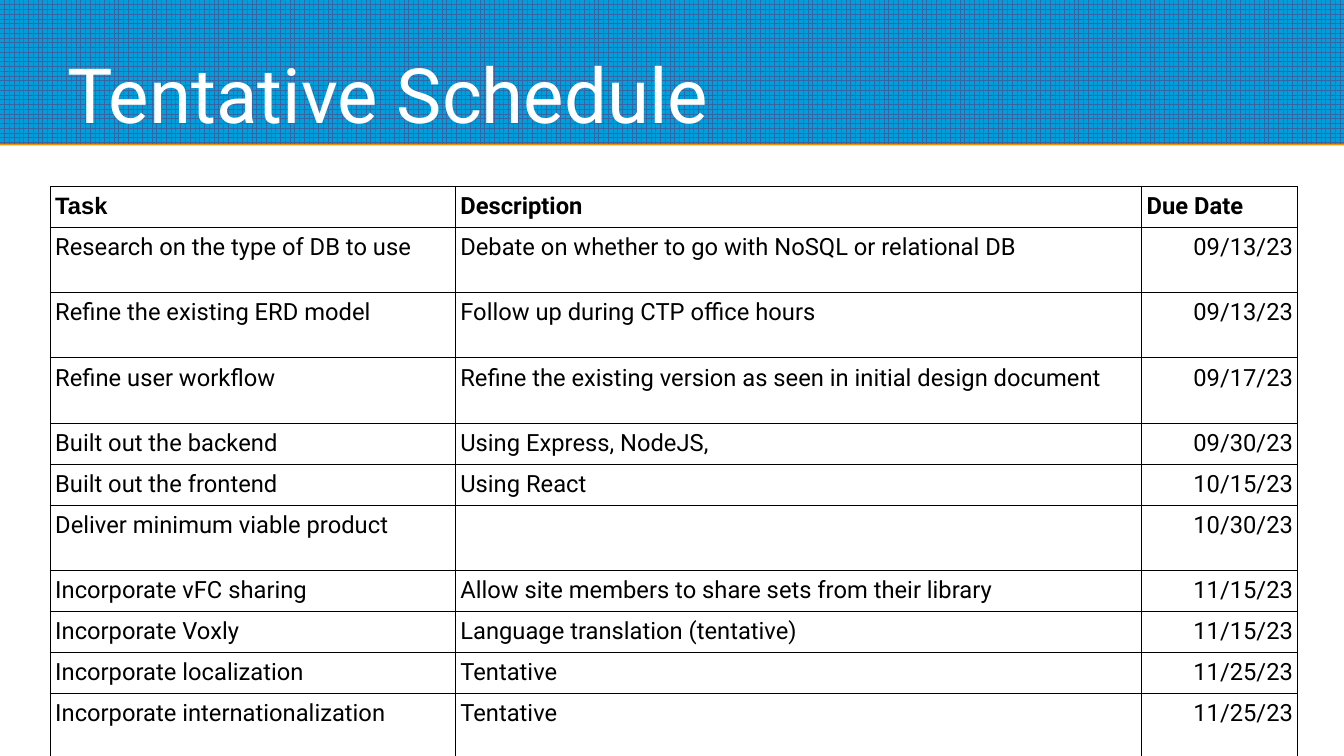
from lxml import etree
from pptx import Presentation
from pptx.dml.color import RGBColor
from pptx.enum.dml import MSO_PATTERN
from pptx.enum.shapes import MSO_SHAPE
from pptx.enum.text import MSO_ANCHOR, PP_ALIGN
from pptx.oxml import parse_xml
from pptx.oxml.ns import nsdecls
from pptx.util import Cm, Pt

COLORS = {"band": "009EDA", "grid": "3465A4", "accent": "F49100",
          "white": "FFFFFF", "black": "000000"}
SHORT, TALL = 0.84, 1.36
COL_WIDTHS = [8.44, 14.3, 3.25]
ROWS = [
    (SHORT, "Task", "Description", "Due Date"),
    (TALL, "Research on the type of DB to use",
     "Debate on whether to go with NoSQL or relational DB", "09/13/23"),
    (TALL, "Refine the existing ERD model", "Follow up during CTP office hours", "09/13/23"),
    (TALL, "Refine user workflow",
     "Refine the existing version as seen in initial design document", "09/17/23"),
    (SHORT, "Built out the backend", "Using Express, NodeJS,", "09/30/23"),
    (SHORT, "Built out the frontend", "Using React", "10/15/23"),
    (TALL, "Deliver minimum viable product", "", "10/30/23"),
    (SHORT, "Incorporate vFC sharing",
     "Allow site members to share sets from their library", "11/15/23"),
    (SHORT, "Incorporate Voxly", "Language translation (tentative)", "11/15/23"),
    (SHORT, "Incorporate localization", "Tentative", "11/25/23"),
    (TALL, "Incorporate internationalization", "Tentative", "11/25/23"),
]


def rgb(name):
    return RGBColor.from_string(COLORS[name])


def add_borders(cell):
    for side in ("lnL", "lnR", "lnT", "lnB"):
        cell._tc.get_or_add_tcPr().append(parse_xml(
            f'<a:{side} {nsdecls("a")} w="{Pt(0.57)}"><a:solidFill>'
            f'<a:srgbClr val="{COLORS["black"]}"/></a:solidFill></a:{side}>'))


prs = Presentation()
prs.slide_width, prs.slide_height = Cm(28), Cm(15.75)
s = prs.slides.add_slide(prs.slide_layouts[6])

# Header: an accent edge showing below a grid-patterned band
for name, top in (("accent", 0.03), ("band", 0)):
    sp = s.shapes.add_shape(MSO_SHAPE.RECTANGLE, 0, Cm(top), prs.slide_width, Cm(3))
    sp.shadow.inherit = False
    sp.line.fill.background()
    if name == "band":
        sp.fill.patterned()
        sp.fill.pattern = MSO_PATTERN.LARGE_GRID
        sp.fill.fore_color.rgb = rgb("grid")
        sp.fill.back_color.rgb = rgb("band")
    else:
        sp.fill.solid()
        sp.fill.fore_color.rgb = rgb(name)

title = s.shapes.add_textbox(Cm(1.4), Cm(0.25), Cm(25.2), Cm(2.65))
tf = title.text_frame
tf.word_wrap = True
tf.vertical_anchor = MSO_ANCHOR.BOTTOM
tf.margin_left = tf.margin_right = tf.margin_top = tf.margin_bottom = 0
p = tf.paragraphs[0]
p.text = "Tentative Schedule"
p.font.name, p.font.size = "Roboto", Pt(45)
p.font.color.rgb = rgb("white")

# Schedule table
table = s.shapes.add_table(len(ROWS), len(COL_WIDTHS), Cm(1.05), Cm(3.88),
                           Cm(sum(COL_WIDTHS)), Cm(sum(row[0] for row in ROWS))).table
table.first_row = table.horz_banding = False
for column, width in zip(table.columns, COL_WIDTHS):
    column.width = Cm(width)

for i, (height, *texts) in enumerate(ROWS):
    table.rows[i].height = Cm(height)
    for j, text in enumerate(texts):
        cell = table.cell(i, j)
        add_borders(cell)
        cell.fill.background()
        cell.margin_left = cell.margin_right = Cm(0.1)
        cell.margin_top = cell.margin_bottom = Cm(0.13)
        p = cell.text_frame.paragraphs[0]
        p.text = text
        p.font.name = "Arial" if text == "Task" else "Roboto"
        p.font.size = Pt(14)
        p.font.bold = i == 0
        p.font.color.rgb = rgb("black")
        if i > 0 and j == 2:
            p.alignment = PP_ALIGN.RIGHT

prs.save("out.pptx")
